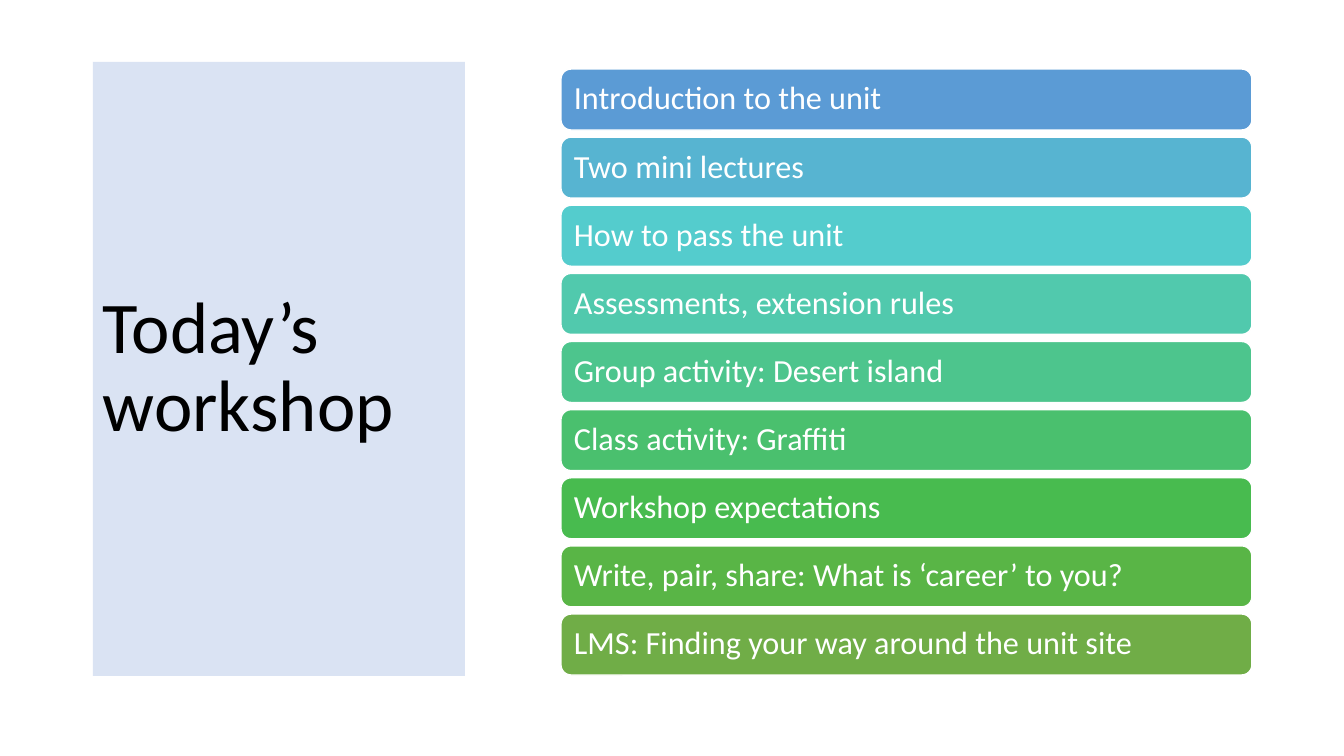
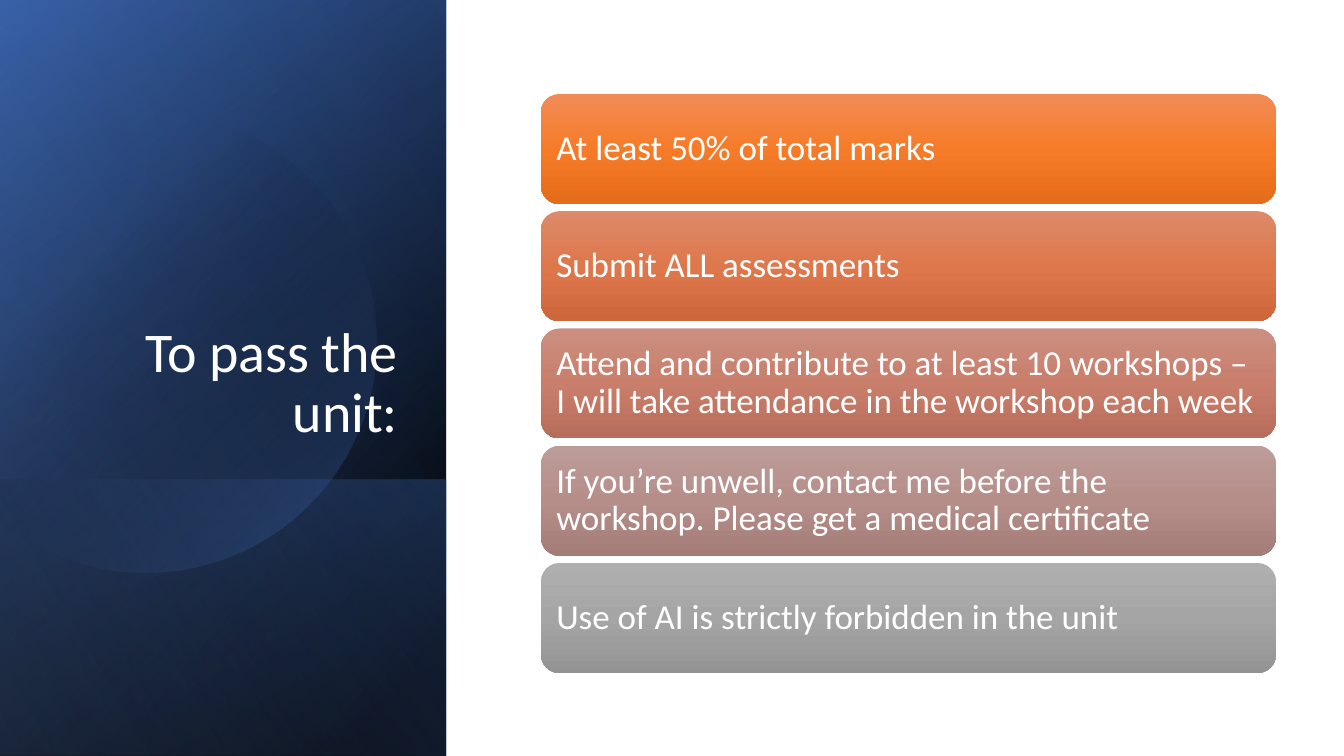
import math
from dataclasses import dataclass

from lxml import etree
from pptx import Presentation
from pptx import util as u
from pptx.dml.color import RGBColor
from pptx.enum import shapes, text
from pptx.oxml.ns import qn

PX = 914400 / 100.8


@dataclass(frozen=True)
class Theme:
    font: str = "Calibri"
    black: str = "000000"
    white: str = "FFFFFF"
    pale: str = "DAE3F3"
    navy: str = "2F5597"
    blue: str = "4472C4"
    sky: str = "8FAADC"
    leading: float = 0.9
    agenda_title: int = 52
    rules_title: int = 40
    agenda_text: int = 23
    rules_text: int = 25


T = Theme()


def write(sp, box, words, size, color, align, anchor):
    """Place a shape and give it one run of text."""
    sp.left, sp.top, sp.width, sp.height = (u.Emu(round(v * PX)) for v in box)
    tf = sp.text_frame
    tf.word_wrap = True
    tf.auto_size = text.MSO_AUTO_SIZE.NONE
    tf.vertical_anchor = anchor
    tf.margin_left = tf.margin_right = u.Emu(round(10 * PX))
    tf.margin_top = tf.margin_bottom = u.Emu(round(5 * PX))
    p = tf.paragraphs[0]
    p.alignment = align
    p.line_spacing = T.leading
    r = p.add_run()
    r.text = words
    r.font.name = T.font
    r.font.size = u.Pt(size)
    r.font.color.rgb = RGBColor.from_string(color)


def shade(sp, angle, stops):
    """Fill with a clockwise-angled gradient of (position, colour, opacity) stops."""
    sp.shadow.inherit = False
    sp.line.fill.background()
    sp.fill.gradient()
    sp.fill.gradient_angle = 360 - angle
    stop_list = sp._element.spPr.find(".//" + qn("a:gsLst"))
    stop_list.clear()
    for pos, color, opacity in stops:
        gs = etree.SubElement(stop_list, qn("a:gs"), pos=str(pos * 1000))
        clr = etree.SubElement(gs, qn("a:srgbClr"), val=color)
        if opacity < 100:
            etree.SubElement(clr, qn("a:alpha"), val=str(opacity * 1000))


prs = Presentation()
prs.slide_width = u.Emu(round(1344 * PX))
prs.slide_height = u.Emu(round(756 * PX))
title_only = prs.slide_layouts[5]
left, right = text.PP_ALIGN.LEFT, text.PP_ALIGN.RIGHT
middle, bottom = text.MSO_ANCHOR.MIDDLE, text.MSO_ANCHOR.BOTTOM

# Slide 1: title panel
agenda = prs.slides.add_slide(title_only)
title = agenda.shapes.title
title.fill.solid()
title.fill.fore_color.rgb = RGBColor.from_string(T.pale)
write(title, (93, 62, 372, 614), "Today’s workshop", T.agenda_title, T.black, left, middle)

# Slide 2: layered panel on the left
rules = prs.slides.add_slide(title_only)
panel = (0, 0, 446, 756)
foot = (0, 480, 446, 276)
cx, cy, radius = 145, 342, 231
layers = [
    (panel, 220, [(8, T.black, 100), (100, T.navy, 100)]),
    (panel, 240, [(0, T.black, 0), (99, T.blue, 46)]),
    (foot, 140, [(2, T.blue, 29), (100, T.black, 30)]),
    ("disc", 46, [(29, T.black, 0), (100, T.blue, 43)]),
    (panel, 150, [(0, T.black, 0), (99, T.sky, 11)]),
]
for box, angle, stops in layers:
    if box == "disc":
        # Disc cut off by the slide's left edge
        limit = math.acos(-cx / radius)
        turns = [limit * (k / 60 - 1) for k in range(121)]
        points = [(round((cx + radius * math.cos(a)) * PX),
                   round((cy + radius * math.sin(a)) * PX)) for a in turns]
        fb = rules.shapes.build_freeform(*points[0])
        fb.add_line_segments(points[1:], close=True)
        sp = fb.convert_to_shape()
    else:
        sp = rules.shapes.add_shape(shapes.MSO_SHAPE.RECTANGLE,
                                    *(u.Emu(round(v * PX)) for v in box))
    shade(sp, angle, stops)

# Slide 2: title in front of the panel
title = rules.shapes.title
rules.shapes._spTree.append(title._element)
write(title, (65, 185, 343, 265), "To pass the unit:", T.rules_title, T.white, right, bottom)

# Stacks of rounded bars: one colour is a flat fill, three make a gradient
agenda_bars = [
    ("Introduction to the unit", ["5B9BD5"]),
    ("Two mini lectures", ["57B4D1"]),
    ("How to pass the unit", ["54CCCD"]),
    ("Assessments, extension rules", ["51C9AD"]),
    ("Group activity: Desert island", ["4DC58D"]),
    ("Class activity: Graffiti", ["4AC06E"]),
    ("Workshop expectations", ["48BB4F"]),
    ("Write, pair, share: What is ‘career’ to you?", ["59B546"]),
    ("LMS: Finding your way around the unit site", ["70AD47"]),
]
rules_bars = [
    ("At least 50% of total marks", ["F18C57", "F67B28", "E56C19"]),
    ("Submit ALL assessments", ["DD8A6A", "DE774B", "CD673B"]),
    ("Attend and contribute to at least 10 workshops – "
     "I will take attendance in the workshop each week", ["CB8F81", "C97E6B", "B76D5B"]),
    ("If you’re unwell, contact me before the workshop. "
     "Please get a medical certificate", ["BC9C99", "B68E89", "A47C78"]),
    ("Use of AI is strictly forbidden in the unit", ["AFAFAF", "A5A5A5", "939393"]),
]
stacks = [
    (agenda, agenda_bars, (561, 69, 691, 606), 61, T.agenda_text),
    (rules, rules_bars, (541, 94, 735, 579), 110, T.rules_text),
]
for s, bars, (x, y, width, height), bar_h, size in stacks:
    pitch = (height - bar_h) / (len(bars) - 1)
    for i, (words, colors) in enumerate(bars):
        sp = s.shapes.add_shape(shapes.MSO_SHAPE.ROUNDED_RECTANGLE, 0, 0, 0, 0)
        write(sp, (x, y + i * pitch, width, bar_h), words, size, T.white, left, middle)
        if len(colors) > 1:
            shade(sp, 90, [(50 * k, c, 100) for k, c in enumerate(colors)])
        else:
            sp.shadow.inherit = False
            sp.fill.solid()
            sp.fill.fore_color.rgb = RGBColor.from_string(colors[0])
            sp.line.color.rgb = RGBColor.from_string(T.white)
            sp.line.width = u.Pt(1)

prs.save("out.pptx")
